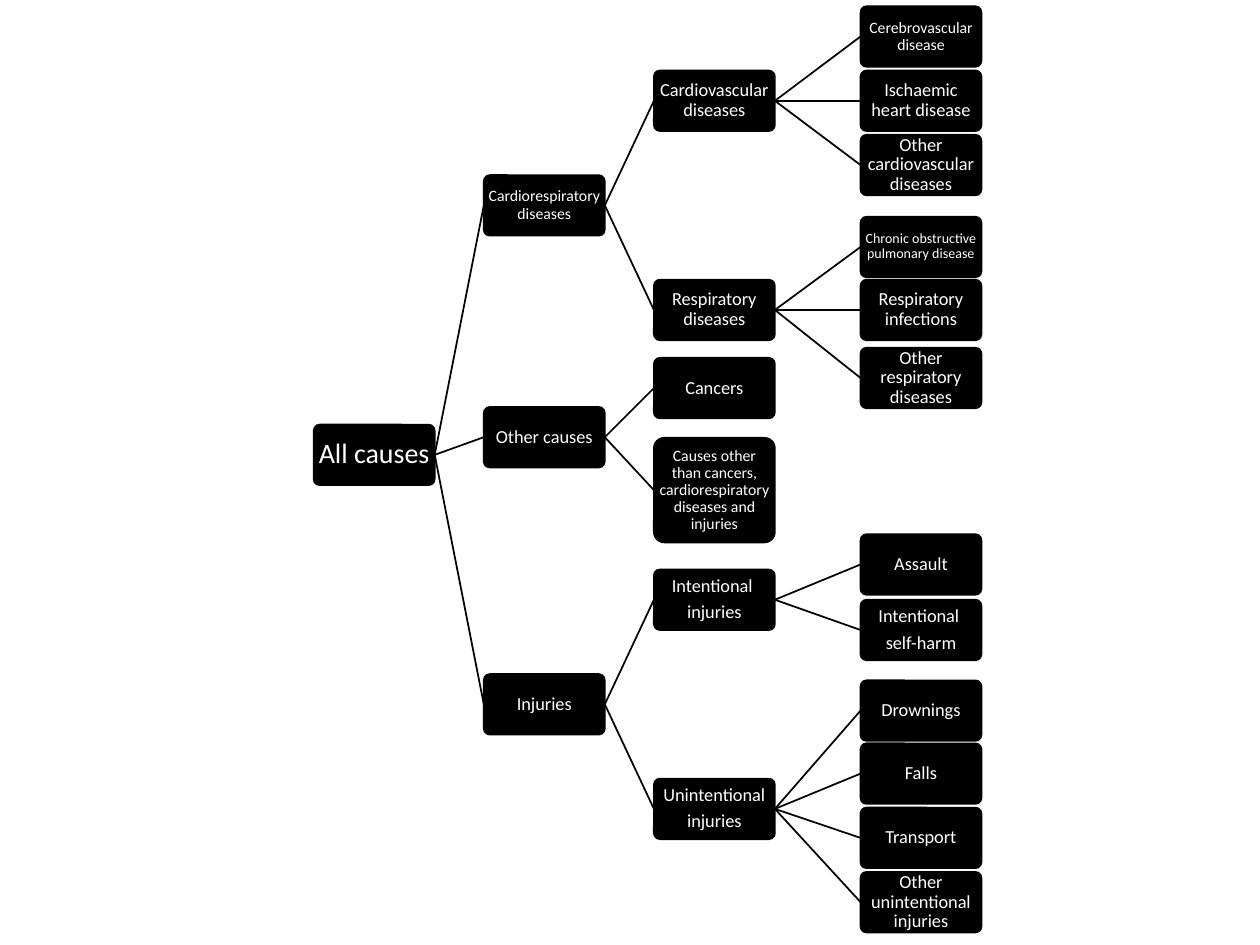
from lxml.etree import SubElement
from pptx import Presentation
from pptx.dml.color import RGBColor
from pptx.enum.shapes import MSO_CONNECTOR, MSO_SHAPE
from pptx.enum.text import MSO_ANCHOR, PP_ALIGN
from pptx.oxml.ns import qn
from pptx.util import Inches, Pt

BLACK, WHITE = "000000", "FFFFFF"
COLUMNS = [2.49, 3.84, 5.19, 6.83]  # left edge of each tree level, inches
BOX_WIDTH, BOX_HEIGHT, TALL_HEIGHT = 0.96, 0.48, 0.83
INSET = 0.01
RIGHT_SITE, LEFT_SITE = 3, 1
BODY, SMALL, TINY = 10.5, 9, 8

# Level, vertical centre in inches, font size, text; each cause follows its parent
CAUSES = [
    (0, 3.61, 16, "All causes"),
    (1, 1.63, SMALL, "Cardiorespiratory diseases"),
    (2, 0.80, BODY, "Cardiovascular diseases"),
    (3, 0.29, SMALL, "Cerebrovascular disease"),
    (3, 0.80, BODY, "Ischaemic heart disease"),
    (3, 1.31, BODY, "Other cardiovascular diseases"),
    (2, 2.46, BODY, "Respiratory diseases"),
    (3, 1.96, TINY, "Chronic obstructive pulmonary disease"),
    (3, 2.46, BODY, "Respiratory infections"),
    (3, 3.00, BODY, "Other respiratory diseases"),
    (1, 3.47, BODY, "Other causes"),
    (2, 3.08, BODY, "Cancers"),
    (2, 3.89, SMALL,
     "Causes other than cancers, cardiorespiratory diseases and injuries"),
    (1, 5.59, BODY, "Injuries"),
    (2, 4.76, BODY, "Intentional \ninjuries"),
    (3, 4.48, BODY, "Assault"),
    (3, 5.00, BODY, "Intentional \nself-harm"),
    (2, 6.42, BODY, "Unintentional\ninjuries"),
    (3, 5.64, BODY, "Drownings"),
    (3, 6.14, BODY, "Falls"),
    (3, 6.65, BODY, "Transport"),
    (3, 7.16, BODY, "Other unintentional injuries"),
]


def paint(color_format, color):
    color_format.rgb = RGBColor.from_string(color)


deck = Presentation()
deck.slide_width, deck.slide_height = Inches(10), Inches(7.5)
page = deck.slides.add_slide(deck.slide_layouts[6])

latest = {}  # most recent box on each level
for level, centre, size, text in CAUSES:
    height = TALL_HEIGHT if text.startswith("Causes other") else BOX_HEIGHT
    box = page.shapes.add_shape(
        MSO_SHAPE.ROUNDED_RECTANGLE, Inches(COLUMNS[level]),
        Inches(centre - height / 2), Inches(BOX_WIDTH), Inches(height))
    box.adjustments[0] = 0.1
    box.shadow.inherit = False
    box.fill.solid()
    paint(box.fill.fore_color, BLACK)
    paint(box.line.color, BLACK)
    box.line.width = Pt(1)
    latest[level] = box

    frame = box.text_frame
    frame.word_wrap = True
    frame.vertical_anchor = MSO_ANCHOR.MIDDLE
    frame.margin_left = frame.margin_right = Inches(INSET)
    frame.margin_top = frame.margin_bottom = Inches(INSET)
    frame.text = text
    for para in frame.paragraphs:
        para.alignment = PP_ALIGN.CENTER
        para.line_spacing = 0.9
        para.space_after = Pt(0.35 * size)
        para.font.name = "Calibri"
        para.font.size = Pt(size)
        paint(para.font.color, WHITE)

    if level > 0:
        branch = page.shapes.add_connector(MSO_CONNECTOR.STRAIGHT, 0, 0, 0, 0)
        branch.begin_connect(latest[level - 1], RIGHT_SITE)
        branch.end_connect(box, LEFT_SITE)
        paint(branch.line.color, BLACK)
        branch.line.width = Pt(1)
        SubElement(branch._element.spPr, qn("a:effectLst"))

deck.save("out.pptx")
